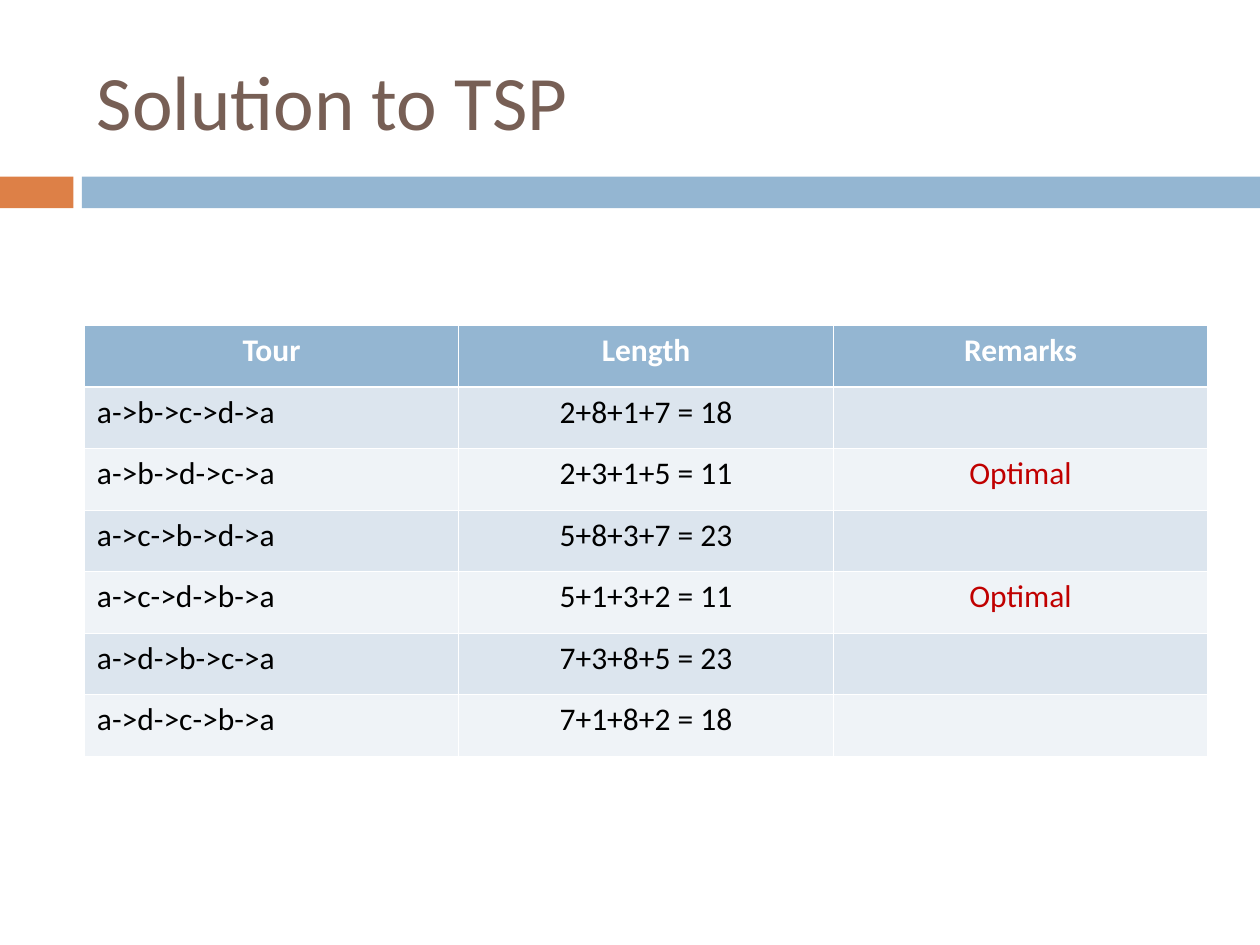
from lxml import etree
from pptx import Presentation
from pptx.dml.color import RGBColor
from pptx.enum.shapes import MSO_SHAPE
from pptx.enum.text import MSO_ANCHOR, PP_ALIGN
from pptx.oxml.ns import qn
from pptx.util import Cm, Pt

RECT = MSO_SHAPE.RECTANGLE
MIDDLE = MSO_ANCHOR.MIDDLE
LEFT, CENTER = PP_ALIGN.LEFT, PP_ALIGN.CENTER

WHITE = RGBColor(0xFF, 0xFF, 0xFF)
BLACK = RGBColor(0x00, 0x00, 0x00)
RED = RGBColor(0xC0, 0x00, 0x00)
BROWN = RGBColor(0x77, 0x5F, 0x55)
ORANGE = RGBColor(0xDD, 0x80, 0x47)
BLUE = RGBColor(0x94, 0xB6, 0xD2)
DARK = RGBColor(0xDC, 0xE5, 0xEE)
LIGHT = RGBColor(0xEF, 0xF3, 0xF7)

THIN, THICK = Pt(0.45), Pt(1.47)
TITLE = {"size": Pt(44), "bold": False}
HEAD = {"size": Pt(18), "bold": True}
BODY = {"size": Pt(18), "bold": False}

ROWS = [
    ("Tour", "Length", "Remarks"),
    ("a->b->c->d->a", "2+8+1+7 = 18", ""),
    ("a->b->d->c->a", "2+3+1+5 = 11", "Optimal"),
    ("a->c->b->d->a", "5+8+3+7 = 23", ""),
    ("a->c->d->b->a", "5+1+3+2 = 11", "Optimal"),
    ("a->d->b->c->a", "7+3+8+5 = 23", ""),
    ("a->d->c->b->a", "7+1+8+2 = 18", ""),
]


def put_text(frame, text, form, color, align=LEFT):
    """Write one styled line into a text frame."""
    para = frame.paragraphs[0]
    para.alignment = align
    run = para.add_run()
    run.text = text
    run.font.name = "Calibri"
    run.font.color.rgb = color
    for key, value in form.items():
        setattr(run.font, key, value)


def add_bar(slide, left, width, color):
    """Draw one part of the band below the title."""
    bar = slide.shapes.add_shape(RECT, Cm(left), Cm(3.56), Cm(width), Cm(0.64))
    bar.shadow.inherit = False
    bar.fill.solid()
    bar.fill.fore_color.rgb = color
    bar.line.fill.background()


def add_title(slide, text):
    """Add the slide title."""
    box = slide.shapes.add_textbox(Cm(1.7), Cm(0.64), Cm(22.66), Cm(2.74))
    frame = box.text_frame
    frame.word_wrap = True
    frame.vertical_anchor = MIDDLE
    put_text(frame, text, TITLE, BROWN)


def set_edges(cell, row):
    """Give a cell white edges, thick between header and body."""
    widths = {
        "a:lnL": THIN,
        "a:lnR": THIN,
        "a:lnT": THICK if row == 1 else THIN,
        "a:lnB": THICK if row == 0 else THIN,
    }
    props = cell._tc.get_or_add_tcPr()
    for tag, width in widths.items():
        line = etree.SubElement(props, qn(tag), w=str(int(width)))
        fill = etree.SubElement(line, qn("a:solidFill"))
        etree.SubElement(fill, qn("a:srgbClr"), val=str(WHITE))


def fill_cell(cell, text, row, col):
    """Style one table cell and write its text."""
    set_edges(cell, row)
    cell.fill.solid()
    cell.fill.fore_color.rgb = BLUE if row == 0 else DARK if row % 2 else LIGHT
    if not text:
        return
    form = BODY if row else HEAD
    color = WHITE if row == 0 else RED if col == 2 else BLACK
    align = LEFT if row and col == 0 else CENTER
    put_text(cell.text_frame, text, form, color, align)


def add_grid(slide, rows):
    """Add the table of tours."""
    high, wide = len(rows), len(rows[0])
    table = slide.shapes.add_table(
        high, wide, Cm(1.7), Cm(6.56), Cm(22.65), Cm(1.24 * high)
    ).table
    for row, texts in enumerate(rows):
        for col, text in enumerate(texts):
            fill_cell(table.cell(row, col), text, row, col)


def main():
    """Build and save the slide."""
    deck = Presentation()
    deck.slide_width, deck.slide_height = Cm(25.4), Cm(19.05)
    slide = deck.slides.add_slide(deck.slide_layouts[6])
    add_bar(slide, 0, 1.48, ORANGE)
    add_bar(slide, 1.65, 23.75, BLUE)
    add_title(slide, "Solution to TSP")
    add_grid(slide, ROWS)
    deck.save("out.pptx")


if __name__ == "__main__":
    main()
